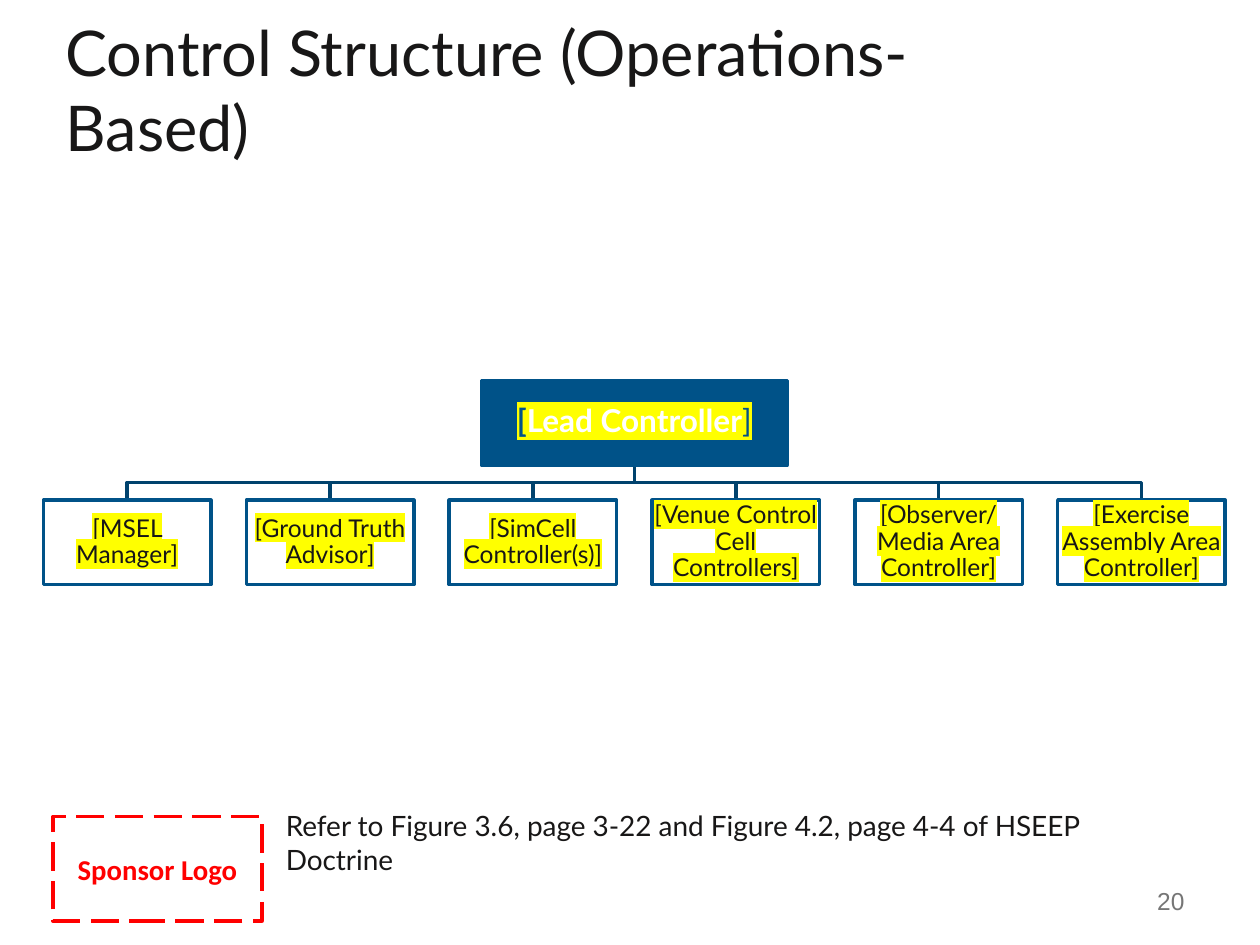
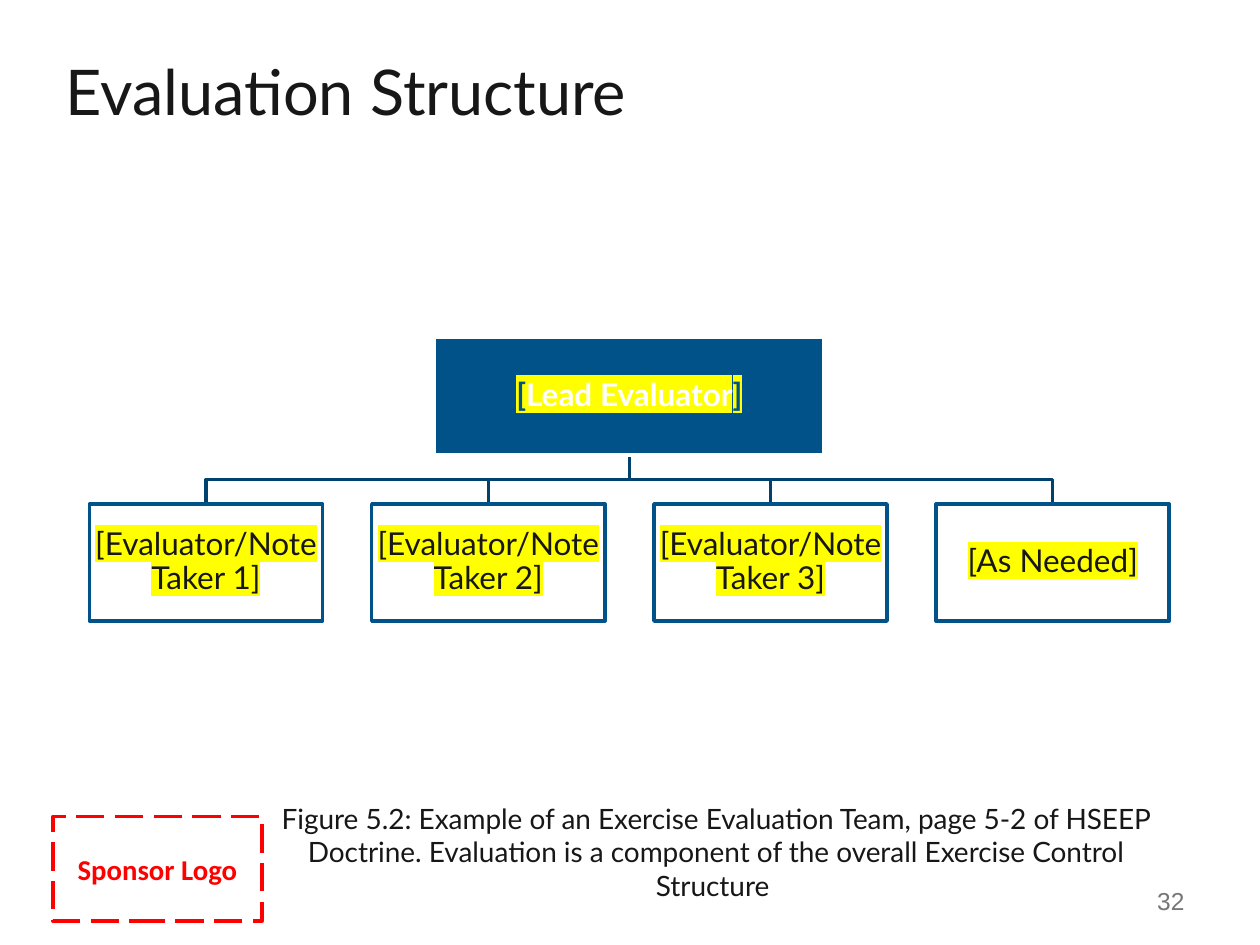
from dataclasses import dataclass

from lxml import etree
from pptx import Presentation
from pptx import util as u
from pptx.dml.color import RGBColor
from pptx.enum import dml, shapes, text
from pptx.oxml import ns

INK = RGBColor(0x18, 0x17, 0x17)
BLUE = RGBColor(0x00, 0x52, 0x88)
NAVY = RGBColor(0x00, 0x42, 0x6D)
WHITE = RGBColor(0xFF, 0xFF, 0xFF)
RED = RGBColor(0xFF, 0x00, 0x00)
GREY = RGBColor(0x76, 0x76, 0x76)
MARK = "FFFF00"
LEFT, MID, RIGHT = text.PP_ALIGN.LEFT, text.PP_ALIGN.CENTER, text.PP_ALIGN.RIGHT
TOP, CENTRE = text.MSO_ANCHOR.TOP, text.MSO_ANCHOR.MIDDLE


@dataclass
class Box:
    left: float
    top: float
    width: float
    height: float

    def place(self) -> list:
        return [u.Inches(v) for v in (self.left, self.top, self.width, self.height)]


@dataclass
class Run:
    words: str
    size: float
    color: RGBColor = INK
    bold: bool = False
    face: str = "Lato"
    mark: bool = False


@dataclass
class Chart:
    """One lead box over a centred row of equal boxes."""
    lead: list
    lead_box: Box
    edge: RGBColor
    names: list
    size: int
    top: float
    width: float
    height: float
    pitch: float


@dataclass
class Page:
    title: str
    title_box: Box
    title_gap: float
    chart: Chart
    note: str
    note_box: Box
    note_align: text.PP_ALIGN
    note_pad: int
    number: str


def write(frame, runs: list, align=LEFT, anchor=TOP, inset=None, gap=None):
    frame.word_wrap = True
    frame.auto_size = text.MSO_AUTO_SIZE.NONE
    frame.vertical_anchor = anchor
    if inset is not None:
        frame.margin_left = frame.margin_right = u.Inches(inset)
        frame.margin_top = frame.margin_bottom = u.Inches(inset)
    para = frame.paragraphs[0]
    para.alignment = align
    if gap:
        para.line_spacing = gap
    for item in runs:
        run = para.add_run()
        run.text = item.words
        font = run.font
        font.name, font.size, font.bold = item.face, u.Pt(item.size), item.bold
        font.color.rgb = item.color
        if item.mark:
            fill = font._element.find(ns.qn("a:solidFill"))
            mark = etree.Element(ns.qn("a:highlight"))
            etree.SubElement(mark, ns.qn("a:srgbClr"), val=MARK)
            fill.addnext(mark)
    return para


def add_box(slide, box: Box, edge: RGBColor, fill=None):
    shape = slide.shapes.add_shape(shapes.MSO_SHAPE.RECTANGLE, *box.place())
    shape.shadow.inherit = False
    if fill is None:
        shape.fill.background()
    else:
        shape.fill.solid()
        shape.fill.fore_color.rgb = fill
    shape.line.color.rgb = edge
    shape.line.width = u.Pt(2)
    return shape


def add_text(slide, box: Box, runs: list, align=LEFT, anchor=TOP):
    frame = slide.shapes.add_textbox(*box.place()).text_frame
    return write(frame, runs, align, anchor)


def add_link(slide, start: tuple, end: tuple):
    """Draw a line that goes down, across and down again."""
    half = (start[1] + end[1]) / 2
    points = [start, (start[0], half), (end[0], half), end]
    points = [(u.Inches(x), u.Inches(y)) for x, y in points]
    pen = slide.shapes.build_freeform(*points[0])
    pen.add_line_segments(points[1:], close=False)
    link = pen.convert_to_shape()
    link.shadow.inherit = False
    link.fill.background()
    link.line.color.rgb = NAVY
    link.line.width = u.Pt(2)


def add_chart(slide, chart: Chart):
    lead = chart.lead_box
    axis = lead.left + lead.width / 2
    first = axis - chart.pitch * (len(chart.names) - 1) / 2
    mids = [first + i * chart.pitch for i in range(len(chart.names))]
    for mid in mids:
        add_link(slide, (axis, lead.top + lead.height), (mid, chart.top))
    shape = add_box(slide, lead, chart.edge, BLUE)
    write(shape.text_frame, chart.lead, MID, CENTRE, 0.01, 0.9)
    for mid, name in zip(mids, chart.names):
        box = Box(mid - chart.width / 2, chart.top, chart.width, chart.height)
        shape = add_box(slide, box, BLUE, WHITE)
        runs = [Run(name, chart.size, mark=True)]
        write(shape.text_frame, runs, MID, CENTRE, 0.01, 0.9)


def add_logo(slide):
    shape = add_box(slide, Box(0.42, 6.48, 1.66, 0.83), RED)
    shape.line.dash_style = dml.MSO_LINE.LONG_DASH
    runs = [Run("Sponsor Logo", 16.4, RED, True, "Calibri")]
    write(shape.text_frame, runs, MID, CENTRE, 0)


def add_page(deck, page: Page):
    slide = deck.slides.add_slide(deck.slide_layouts[5])
    add_logo(slide)
    title = slide.shapes.title
    title.left, title.top, title.width, title.height = page.title_box.place()
    write(title.text_frame, [Run(page.title, 36)], LEFT, CENTRE, gap=page.title_gap)
    add_chart(slide, page.chart)
    note = add_text(slide, page.note_box, [Run(page.note, 16)], page.note_align)
    note.space_after = u.Pt(page.note_pad)
    number = [Run(page.number, 14, GREY, face="Arial")]
    add_text(slide, Box(7.17, 6.95, 2.33, 0.4), number, RIGHT, CENTRE)


def lead_runs(name: str, bold_end: bool) -> list:
    return [Run("[", 18, BLUE, True, mark=True),
            Run(name, 18, WHITE, True, mark=True),
            Run("]", 18, BLUE, bold_end, mark=True)]


PAGES = [
    Page("Control Structure (Operations-Based)", Box(0.42, 0.16, 8.17, 1.09), 1.0,
         Chart(lead_runs("Lead Controller", False), Box(3.82, 3.02, 2.43, 0.67), BLUE,
               ["[MSEL Manager]", "[Ground Truth Advisor]",
                "[SimCell Controller(s)]", "[Venue Control Cell Controllers]",
                "[Observer/ Media Area Controller]",
                "[Exercise Assembly Area Controller]"],
               14, 3.97, 1.33, 0.67, 1.61),
         "Refer to Figure 3.6, page 3-22 and Figure 4.2, page 4-4 of HSEEP Doctrine",
         Box(2.17, 6.37, 7.24, 0.37), LEFT, 0, "20"),
    Page("Evaluation Structure", Box(0.42, 0.21, 6.13, 1.09), 0.9,
         Chart(lead_runs("Lead Evaluator", True), Box(3.45, 2.68, 3.09, 0.93), WHITE,
               [f"[Evaluator/Note Taker {n}]" for n in (1, 2, 3)] + ["[As Needed]"],
               18, 4, 1.85, 0.93, 2.24),
         "Figure 5.2: Example of an Exercise Evaluation Team, page 5-2 of HSEEP "
         "Doctrine. Evaluation is a component of the overall Exercise Control "
         "Structure ",
         Box(2.08, 6.31, 7.21, 0.91), MID, 6, "32"),
]


def main():
    deck = Presentation()
    deck.slide_width, deck.slide_height = u.Inches(10), u.Inches(7.5)
    for page in PAGES:
        add_page(deck, page)
    deck.save("out.pptx")


if __name__ == "__main__":
    main()
